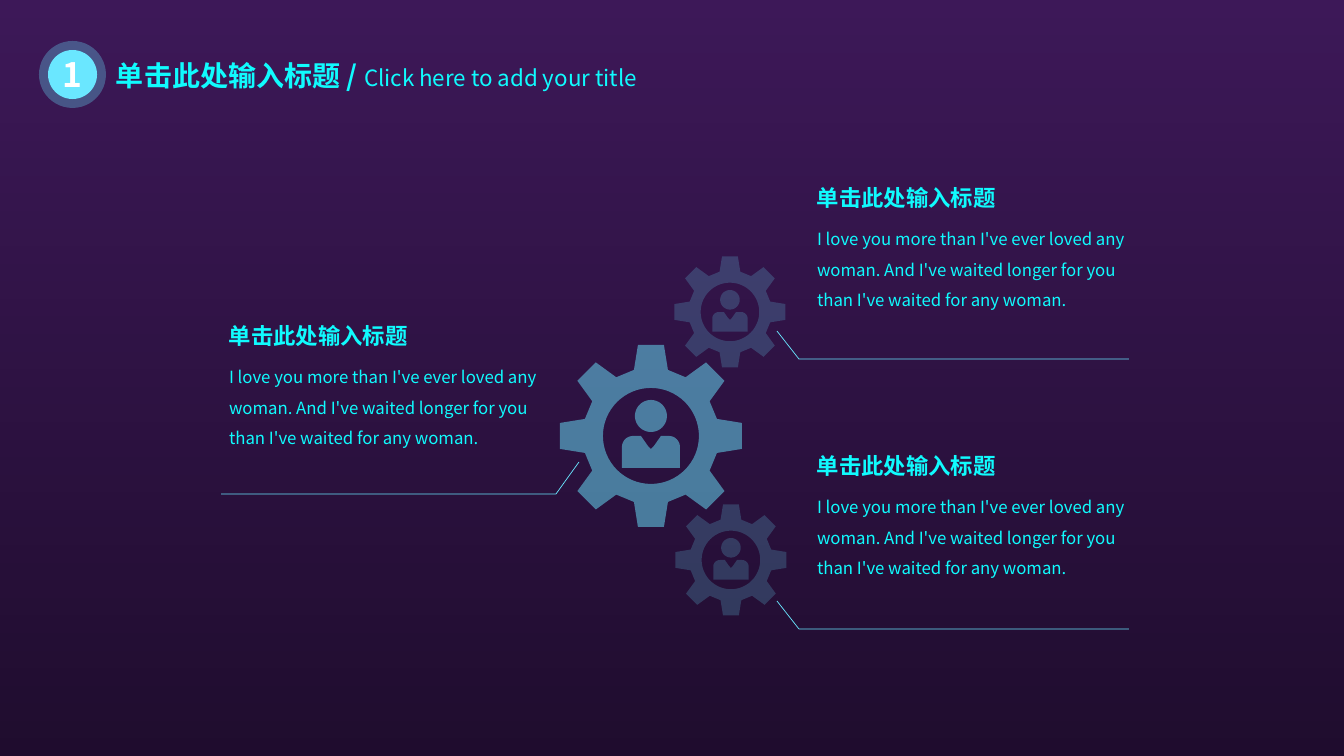
from math import cos, pi, sin

from lxml import etree
from pptx import Presentation
from pptx.dml.color import RGBColor
from pptx.enum import shapes, text
from pptx.oxml.ns import qn
from pptx.util import Pt

SCALE = 914400 / 100.8  # EMU in one px
WIDE, HIGH = 1344, 756
FONT = "Noto Sans CJK SC"
COLORS = {
    "top": "7B32B2",
    "base": "401A5D",
    "veil": "000000",
    "glow": "6AE7FF",
    "text": "10FBFE",
    "white": "FFFFFF",
}

HEAD = "单击此处输入标题"
BODY = ("I love you more than I've ever loved any woman. "
        "And I've waited longer for you than I've waited for any woman.")
TITLE = [(HEAD + " / ", 20, True), ("Click here to add your title", 16, False)]
BLOCKS = [(221, 318), (809, 180), (809, 448)]
LEADERS = [
    [(579, 462), (556, 494), (221, 494)],
    [(777, 331), (799, 359), (1129, 359)],
    [(777, 601), (799, 629), (1129, 629)],
]
# centre x, centre y, size against the large gear, opacity in percent
GEARS = [(731, 560, 0.61, 20), (730, 312, 0.61, 20), (651, 436, 1, 50)]

# Large gear, in px from its centre
TOOTH = [(-17, -66), (-13, -91), (13, -91), (17, -66)]
HOLE = 48
FACE = (0, -20, 16)
CHEST = [(10, 0), (3, 10), (0, 13), (-3, 10), (-10, 0)]
HALF, DROP, ROUND = 29, 32, 11


def emu(px):
    return round(px * SCALE)


def color(name):
    return RGBColor.from_string(COLORS[name])


def paint(shape, name, alpha=100):
    shape.shadow.inherit = False
    shape.line.fill.background()
    shape.fill.solid()
    shape.fill.fore_color.rgb = color(name)
    if alpha < 100:
        tone = shape.fill._xPr.find(".//" + qn("a:srgbClr"))
        etree.SubElement(tone, qn("a:alpha")).set("val", str(alpha * 1000))


def arc(x, y, r, start=0, end=2 * pi, steps=64):
    turns = [start + (end - start) * i / steps for i in range(steps + 1)]
    return [(x + r * cos(a), y + r * sin(a)) for a in turns]


def outline(parent, paths, close=True):
    paths = [[(emu(x), emu(y)) for x, y in path] for path in paths]
    pen = parent.build_freeform(*paths[0][0])
    for i, path in enumerate(paths):
        if i:
            pen.move_to(*path[0])
        pen.add_line_segments(path[1:], close=close)
    return pen.convert_to_shape()


def style(par, name, size=None, bold=None):
    font = par.font
    font.name, font.size, font.bold = FONT, size and Pt(size), bold
    font.color.rgb = color(name)
    props = par._p.pPr.find(qn("a:defRPr"))
    etree.SubElement(props, qn("a:ea")).set("typeface", FONT)


def box(slide, x, y, w, h, pad):
    frame = slide.shapes.add_textbox(*map(emu, (x, y, w, h))).text_frame
    frame.word_wrap = True
    frame.auto_size = text.MSO_AUTO_SIZE.SHAPE_TO_FIT_TEXT
    frame.margin_left = frame.margin_right = emu(pad)
    frame.margin_top = frame.margin_bottom = emu(pad / 2)
    return frame.paragraphs[0]


def backdrop(slide):
    fill = slide.background.fill
    fill.gradient()
    fill.gradient_angle = 270
    for stop, name in zip(fill.gradient_stops, ("top", "base")):
        stop.color.rgb = color(name)
    veil = slide.shapes.add_shape(
        shapes.MSO_SHAPE.RECTANGLE, 0, 0, emu(WIDE), emu(HIGH))
    paint(veil, "veil", 50)


def badge(slide):
    group = slide.shapes.add_group_shape().shapes
    for x, y, size, alpha in [(39, 41, 67, 30), (48, 50, 49, 100)]:
        disc = group.add_shape(
            shapes.MSO_SHAPE.OVAL, *map(emu, (x, y, size, size)))
        paint(disc, "glow", alpha)
    frame = disc.text_frame
    frame.margin_left = frame.margin_right = 0
    frame.margin_top = frame.margin_bottom = 0
    frame.vertical_anchor = text.MSO_ANCHOR.MIDDLE
    par = frame.paragraphs[0]
    par.text = "1"
    par.alignment = text.PP_ALIGN.CENTER
    style(par, "white", 24, True)


def heading(slide):
    par = box(slide, 106, 53, 578, 44, 10)
    style(par, "text")
    for words, size, bold in TITLE:
        run = par.add_run()
        run.text = words
        run.font.size, run.font.bold = Pt(size), bold


def block(slide, x, y):
    par = box(slide, x, y, 210, 34, 8)
    par.text = HEAD
    style(par, "text", 16, True)
    par = box(slide, x, y + 35, 326, 130, 8)
    par.text = BODY
    par.line_spacing = 1.5
    style(par, "text", 12)


def gear(slide, x, y, size, alpha):
    """Draw a toothed ring with a person inside, as one group."""
    rim = []
    for i in range(8):
        c, s = cos(i * pi / 4), sin(i * pi / 4)
        rim += [(u * c - v * s, u * s + v * c) for u, v in TOOTH]
    side = HALF - ROUND
    torso = (arc(-side, ROUND, ROUND, pi, 1.5 * pi, 12) + CHEST[::-1]
             + arc(side, ROUND, ROUND, 1.5 * pi, 2 * pi, 12)
             + [(HALF, DROP), (-HALF, DROP)])
    group = slide.shapes.add_group_shape().shapes
    for paths in ([rim, arc(0, 0, HOLE)[::-1]], [arc(*FACE), torso]):
        placed = [[(x + u * size, y + v * size) for u, v in path]
                  for path in paths]
        paint(outline(group, placed), "glow", alpha)


def leader(slide, points):
    line = outline(slide.shapes, [points], close=False)
    line.shadow.inherit = False
    line.fill.background()
    line.line.color.rgb = color("glow")
    line.line.width = Pt(0.5)


def main():
    deck = Presentation()
    deck.slide_width, deck.slide_height = emu(WIDE), emu(HIGH)
    slide = deck.slides.add_slide(deck.slide_layouts[6])
    backdrop(slide)
    badge(slide)
    heading(slide)
    for spec in GEARS:
        gear(slide, *spec)
    for points in LEADERS:
        leader(slide, points)
    for spot in BLOCKS:
        block(slide, *spot)
    deck.save("out.pptx")


if __name__ == "__main__":
    main()
